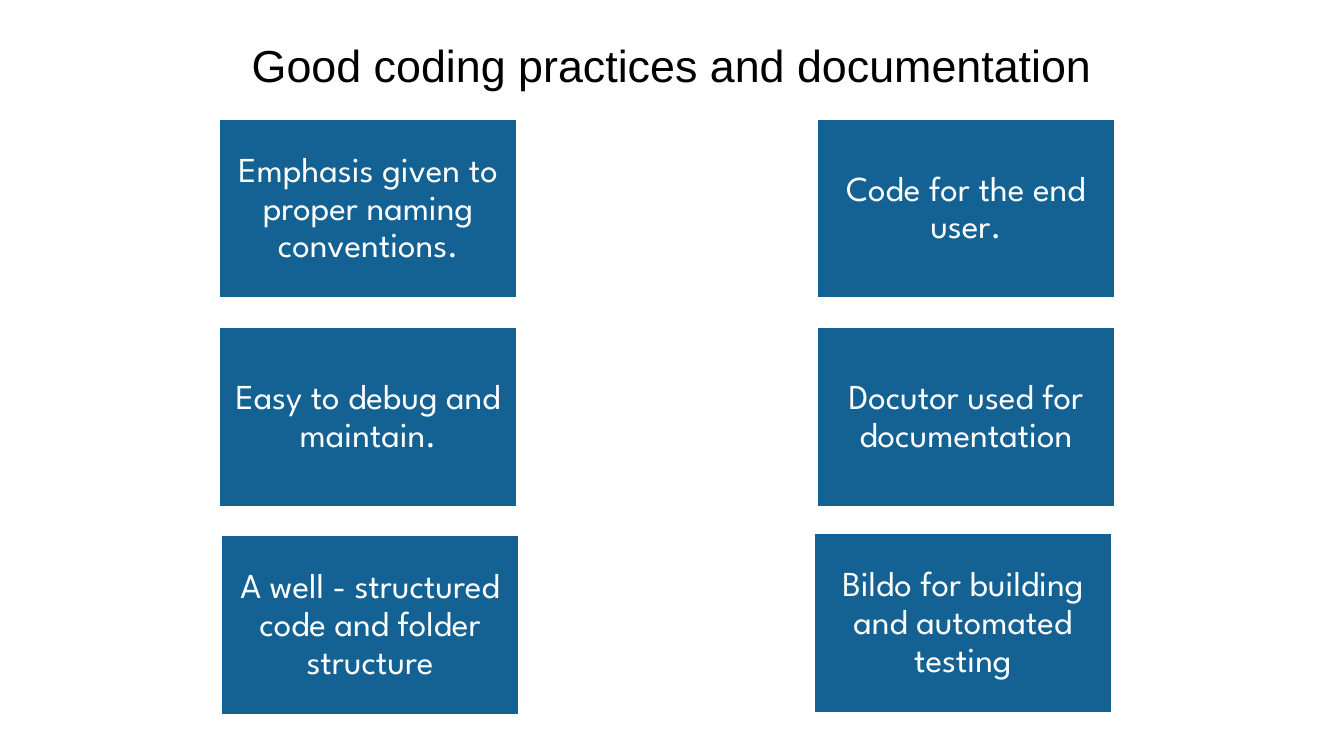
from dataclasses import dataclass

from pptx import Presentation
from pptx.dml.color import RGBColor
from pptx.enum.shapes import MSO_SHAPE
from pptx.enum.text import MSO_ANCHOR, PP_ALIGN
from pptx.util import Inches, Pt

CENTER = PP_ALIGN.CENTER
MIDDLE = MSO_ANCHOR.MIDDLE
RECTANGLE = MSO_SHAPE.RECTANGLE


@dataclass(frozen=True)
class Theme:
    black: RGBColor = RGBColor(0x00, 0x00, 0x00)
    white: RGBColor = RGBColor(0xFF, 0xFF, 0xFF)
    blue: RGBColor = RGBColor(0x14, 0x61, 0x94)
    title_font: str = "Arial"
    card_font: str = "League Spartan"
    title_size: int = 32
    card_size: int = 25
    outline: float = 1.25


THEME = Theme()
SLIDE_W, SLIDE_H = 13.33, 7.5

# Card grid, in inches
GRID_LEFT, GRID_TOP = 2.17, 1.18
CARD_W, CARD_H = 2.96, 1.78
COLUMN_STEP, ROW_STEP = 5.93, 2.07
CARD_INSET = 0.1

TITLE = "Good coding practices and documentation"
PRACTICES = [
    ["Emphasis given to proper naming conventions.", "Code for the end user."],
    ["Easy to debug and maintain.", "Docutor used for documentation"],
    ["A well - structured code and folder structure",
     "Bildo for building and automated testing"],
]
# The bottom cards sit slightly off the grid: (row, column) -> (dx, dy)
NUDGES = {(2, 0): (0.02, -0.01), (2, 1): (-0.03, -0.03)}


def write_text(frame, text, font, size, color):
    frame.word_wrap = True
    paragraph = frame.paragraphs[0]
    paragraph.alignment = CENTER
    run = paragraph.add_run()
    run.text = text
    run.font.name = font
    run.font.size = Pt(size)
    run.font.color.rgb = color
    return paragraph


def add_title(slide, text):
    title = slide.shapes.add_textbox(
        0, Inches(0.33), Inches(SLIDE_W), Inches(0.64))
    write_text(title.text_frame, text, THEME.title_font, THEME.title_size,
               THEME.black)


def add_card(slide, row, column, text):
    dx, dy = NUDGES.get((row, column), (0, 0))
    card = slide.shapes.add_shape(
        RECTANGLE,
        Inches(GRID_LEFT + column * COLUMN_STEP + dx),
        Inches(GRID_TOP + row * ROW_STEP + dy),
        Inches(CARD_W), Inches(CARD_H))
    card.shadow.inherit = False
    card.fill.solid()
    card.fill.fore_color.rgb = THEME.blue
    card.line.color.rgb = THEME.white
    card.line.width = Pt(THEME.outline)

    frame = card.text_frame
    frame.vertical_anchor = MIDDLE
    frame.margin_left = frame.margin_right = Inches(CARD_INSET)
    frame.margin_top = frame.margin_bottom = Inches(CARD_INSET)
    paragraph = write_text(frame, text, THEME.card_font, THEME.card_size,
                           THEME.white)
    paragraph.line_spacing = 0.9


def main():
    deck = Presentation()
    deck.slide_width, deck.slide_height = Inches(SLIDE_W), Inches(SLIDE_H)
    slide = deck.slides.add_slide(deck.slide_layouts[6])
    slide.background.fill.solid()
    slide.background.fill.fore_color.rgb = THEME.white

    # Heading
    add_title(slide, TITLE)

    # Practices on the left, tools and users on the right
    for row, texts in enumerate(PRACTICES):
        for column, text in enumerate(texts):
            add_card(slide, row, column, text)

    deck.save("out.pptx")


if __name__ == "__main__":
    main()
